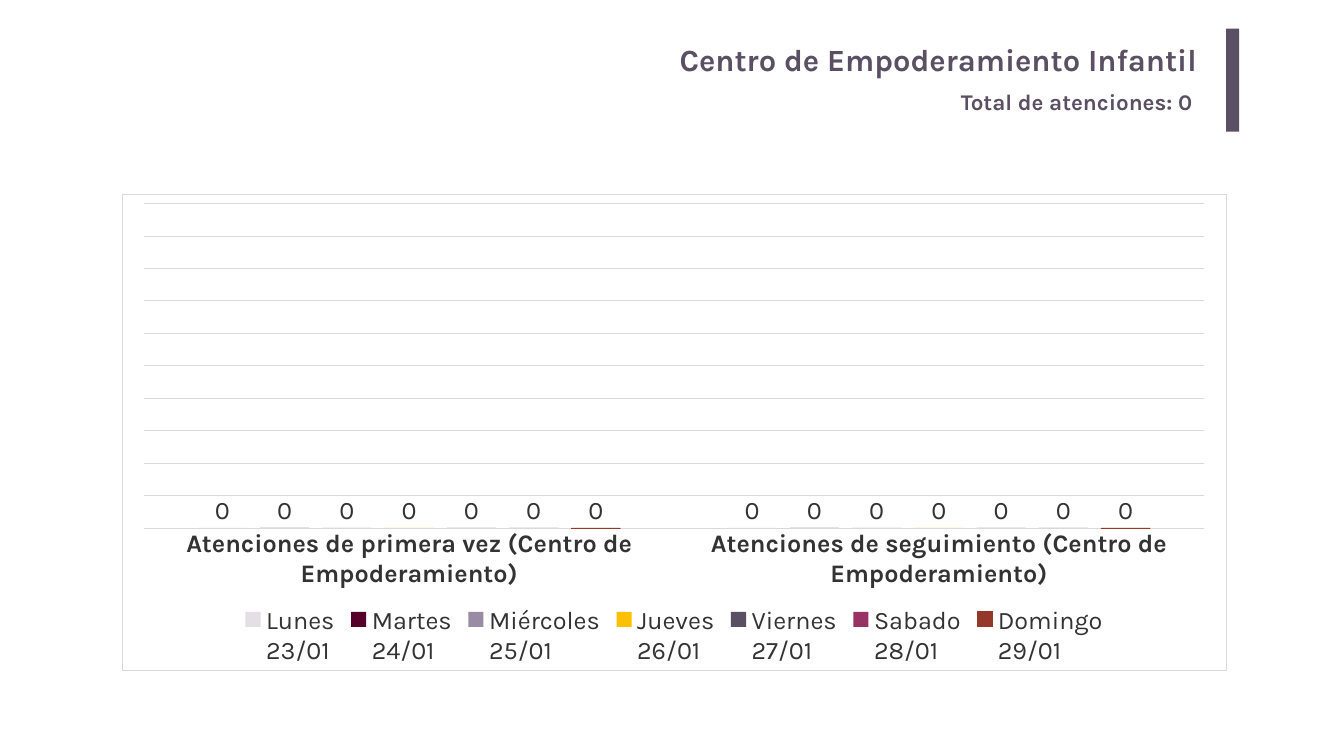
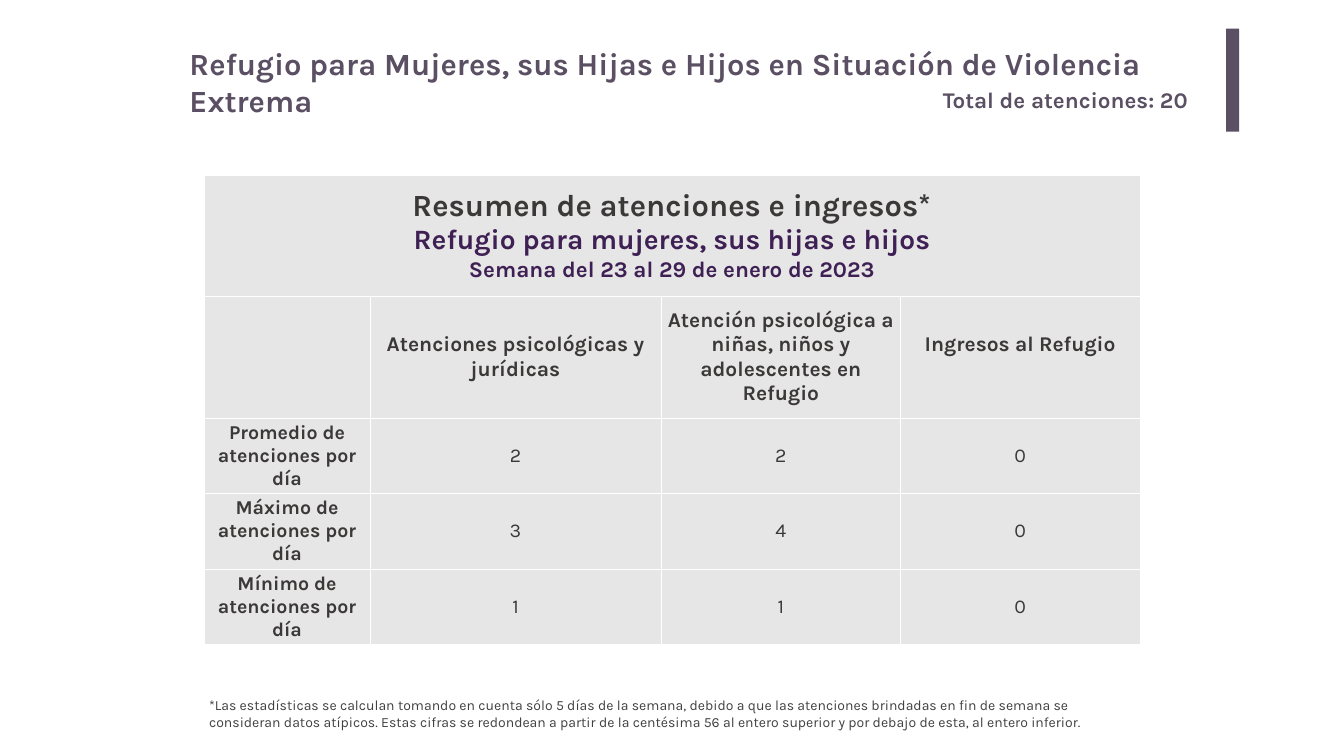
import pptx
import pptx.chart.data
import pptx.dml.color
import pptx.enum.chart
import pptx.enum.shapes
import pptx.enum.text
import pptx.oxml
import pptx.oxml.ns
import pptx.util

Inches = pptx.util.Inches
Pt = pptx.util.Pt
RGBColor = pptx.dml.color.RGBColor
PP_ALIGN = pptx.enum.text.PP_ALIGN
ANCHOR = pptx.enum.text.MSO_ANCHOR

FONT = "Karla"
PURPLE = RGBColor(0x5B, 0x4F, 0x63)
DEEP_PURPLE = RGBColor(0x3E, 0x20, 0x54)
CHARCOAL = RGBColor(0x3B, 0x38, 0x38)
CHART_TEXT = RGBColor(0x33, 0x33, 0x33)
NOTE_GRAY = RGBColor(0x40, 0x40, 0x40)
CELL_GRAY = RGBColor(0xE7, 0xE6, 0xE6)
GRID_GRAY = RGBColor(0xD9, 0xD9, 0xD9)
LILAC = RGBColor(0xE3, 0xDF, 0xE5)
WINE = RGBColor(0x54, 0x00, 0x2A)
MAUVE = RGBColor(0x99, 0x8B, 0xA3)
AMBER = RGBColor(0xFF, 0xC0, 0x00)
MAGENTA = RGBColor(0x99, 0x33, 0x66)
BRICK = RGBColor(0x95, 0x37, 0x2B)


def style_font(font, size, color, bold=False):
    font.name = FONT
    font.size = Pt(size)
    font.color.rgb = color
    font.bold = bold


def fill_text(shape, place, text, size, color, bold=False,
              align=PP_ALIGN.LEFT, anchor=ANCHOR.TOP):
    shape.left, shape.top, shape.width, shape.height = map(Inches, place)
    frame = shape.text_frame
    frame.word_wrap = True
    frame.auto_size = pptx.enum.text.MSO_AUTO_SIZE.NONE
    frame.vertical_anchor = anchor
    frame.text = text
    frame.paragraphs[0].alignment = align
    style_font(frame.paragraphs[0].font, size, color, bold)


deck = pptx.Presentation()
deck.slide_width = Inches(26.67)
deck.slide_height = Inches(15)

headings = [
    ("Centro de Empoderamiento Infantil", (3.66, 0.67, 20.3, 1.02), PP_ALIGN.RIGHT, ANCHOR.MIDDLE,
     "Total de atenciones: 0", (18.97, 1.69, 5.05, 0.64)),
    ("Refugio para Mujeres, sus Hijas e Hijos en Situación de Violencia Extrema",
     (3.66, 0.84, 20.73, 0.84), PP_ALIGN.LEFT, ANCHOR.TOP,
     "Total de atenciones: 20", (18.61, 1.65, 5.35, 0.64)),
]
for heading, heading_place, align, anchor, total, total_place in headings:
    slide = deck.slides.add_slide(deck.slide_layouts[5])
    fill_text(slide.shapes.title, heading_place, heading, 44, PURPLE, True, align, anchor)
    if align == PP_ALIGN.RIGHT:
        slide.shapes.title.text_frame.margin_right = Inches(0.2)
    fill_text(slide.shapes.add_textbox(0, 0, 0, 0), total_place, total, 32, PURPLE, True)
    accent_bar = slide.shapes.add_shape(
        pptx.enum.shapes.MSO_SHAPE.RECTANGLE,
        Inches(24.33), Inches(0.57), Inches(0.26), Inches(2.04))
    accent_bar.shadow.inherit = False
    accent_bar.fill.solid()
    accent_bar.fill.fore_color.rgb = PURPLE
    accent_bar.line.fill.background()

center_slide, shelter_slide = deck.slides

days = [("Lunes", LILAC), ("Martes", WINE), ("Miércoles", MAUVE), ("Jueves", AMBER),
        ("Viernes", PURPLE), ("Sabado", MAGENTA), ("Domingo", BRICK)]
attention_data = pptx.chart.data.CategoryChartData(number_format="0")
attention_data.categories = ["Atenciones de primera vez (Centro de Empoderamiento)",
                             "Atenciones de seguimiento (Centro de Empoderamiento)"]
for date, (day, color) in enumerate(days, 23):
    attention_data.add_series(f"{day}\n{date}/01", (0, 0))

attentions = center_slide.shapes.add_chart(
    pptx.enum.chart.XL_CHART_TYPE.COLUMN_CLUSTERED,
    Inches(2.42), Inches(3.84), Inches(21.91), Inches(9.47), attention_data).chart
style_font(attentions.font, 36, CHART_TEXT)
attentions.has_title = False
attentions.has_legend = True
attentions.legend.position = pptx.enum.chart.XL_LEGEND_POSITION.BOTTOM
attentions.legend.include_in_layout = False
style_font(attentions.legend.font, 36, CHART_TEXT)

kinds_axis = attentions.category_axis
kinds_axis.major_tick_mark = pptx.enum.chart.XL_TICK_MARK.NONE
kinds_axis.format.line.color.rgb = GRID_GRAY
kinds_axis.format.line.width = Pt(0.75)
style_font(kinds_axis.tick_labels.font, 36, CHART_TEXT, True)

count_axis = attentions.value_axis
count_axis.visible = False
count_axis.minimum_scale = 0
count_axis.maximum_scale = 1
count_axis.major_unit = 0.1
count_axis.has_major_gridlines = True
count_axis.major_gridlines.format.line.color.rgb = GRID_GRAY
count_axis.major_gridlines.format.line.width = Pt(0.75)

columns = attentions.plots[0]
columns.gap_width = 219
columns.overlap = -27
columns.vary_by_categories = False
for series, (day, color) in zip(columns.series, days):
    series.format.fill.solid()
    series.format.fill.fore_color.rgb = color
    labels = series.data_labels
    labels.show_value = True
    labels.position = pptx.enum.chart.XL_LABEL_POSITION.OUTSIDE_END
    style_font(labels.font, 36, CHART_TEXT)
sunday_line = columns.series[-1].format.line
sunday_line.color.rgb = BRICK
sunday_line.width = Pt(0.75)

chart_frame = pptx.oxml.parse_xml(
    f'<c:spPr {pptx.oxml.ns.nsdecls("c", "a")}>'
    '<a:solidFill><a:srgbClr val="FFFFFF"/></a:solidFill>'
    f'<a:ln w="9525"><a:solidFill><a:srgbClr val="{GRID_GRAY}"/></a:solidFill></a:ln></c:spPr>')
attentions.element.find(pptx.oxml.ns.qn("c:chart")).addnext(chart_frame)

summary_rows = [
    ["", "Atenciones psicológicas y jurídicas",
     "Atención psicológica a niñas, niños y adolescentes en Refugio", "Ingresos al Refugio"],
    ["Promedio de atenciones por día", "2", "2", "0"],
    ["Máximo de atenciones por día", "3", "4", "0"],
    ["Mínimo de atenciones por día", "1", "1", "0"],
]
summary_heading = [("Resumen de atenciones e ingresos*", 44, CHARCOAL),
                   ("Refugio para mujeres, sus hijas e hijos", 40, DEEP_PURPLE),
                   ("Semana del 23 al 29 de enero de 2023", 32, DEEP_PURPLE)]
summary = shelter_slide.shapes.add_table(
    5, 4, Inches(4.05), Inches(3.47), Inches(18.56), Inches(9.32)).table
for column, width in zip(summary.columns, (3.29, 5.78, 4.75, 4.75)):
    column.width = Inches(width)
for row, height in zip(summary.rows, (2.4, 2.42, 1.5, 1.5, 1.5)):
    row.height = Inches(height)

for cell in summary.iter_cells():
    cell.vertical_anchor = ANCHOR.MIDDLE
    cell.margin_left = cell.margin_right = cell.margin_top = cell.margin_bottom = 0
    for side in ("lnL", "lnR", "lnT", "lnB"):
        cell._tc.get_or_add_tcPr().append(pptx.oxml.parse_xml(
            f'<a:{side} {pptx.oxml.ns.nsdecls("a")} w="12700"><a:solidFill>'
            f'<a:srgbClr val="FFFFFF"/></a:solidFill></a:{side}>'))
    cell.fill.solid()
    cell.fill.fore_color.rgb = CELL_GRAY

summary.cell(0, 0).merge(summary.cell(0, 3))
heading_frame = summary.cell(0, 0).text_frame
heading_frame.text = "\n".join(text for text, size, color in summary_heading)
for paragraph, (text, size, color) in zip(heading_frame.paragraphs, summary_heading):
    paragraph.alignment = PP_ALIGN.CENTER
    style_font(paragraph.font, size, color, True)

for r, texts in enumerate(summary_rows, 1):
    for c, text in enumerate(texts):
        cell = summary.cell(r, c)
        cell.text = text
        paragraph = cell.text_frame.paragraphs[0]
        paragraph.alignment = PP_ALIGN.CENTER
        style_font(paragraph.font, 30 if r == 1 else 28, CHARCOAL, r == 1 or c == 0)
summary.cell(1, 3).margin_bottom = Inches(0.5)

fill_text(shelter_slide.shapes.add_textbox(0, 0, 0, 0), (4.05, 13.77, 18.56, 0.77),
          "*Las estadísticas se calculan tomando en cuenta sólo 5 días de la semana, debido a que "
          "las atenciones brindadas en fin de semana se consideran datos atípicos. Estas cifras se "
          "redondean a partir de la centésima 56 al entero superior y por debajo de esta, al entero "
          "inferior.", 20, NOTE_GRAY)

deck.save("out.pptx")
